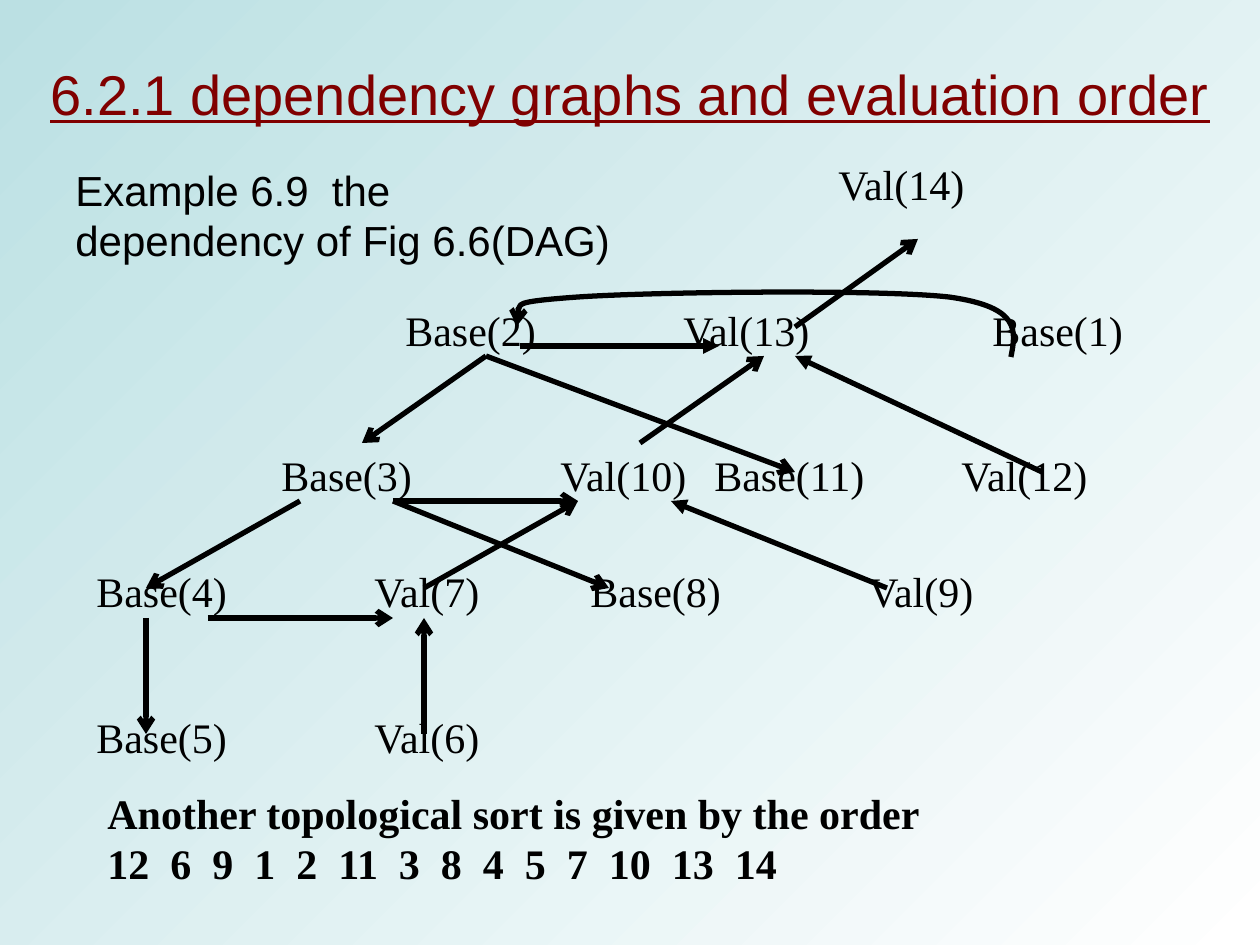
from lxml import etree
from pptx import Presentation
from pptx.dml.color import RGBColor
from pptx.enum.shapes import MSO_CONNECTOR
from pptx.enum.text import MSO_AUTO_SIZE, PP_ALIGN
from pptx.oxml.ns import qn
from pptx.util import Emu, Pt

STRAIGHT = MSO_CONNECTOR.STRAIGHT
GROW = MSO_AUTO_SIZE.SHAPE_TO_FIT_TEXT
JUSTIFY, LEFT = PP_ALIGN.JUSTIFY, PP_ALIGN.LEFT
PX_PER_INCH = 126
SERIF, SANS = "Times New Roman", "Arial"
BLACK, MAROON = "000000", "800000"


def px(length):
    return Emu(round(length * 914400 / PX_PER_INCH))


def color(hex_code):
    return RGBColor.from_string(hex_code)


def grid(column, row):
    """Pixel position of a point on the graph's grid."""
    return round(84 + 30.9 * column), round(152 + 29.1 * row)


class GraphSlide:
    def __init__(self, presentation):
        self.slide = presentation.slides.add_slide(presentation.slide_layouts[6])
        self.shapes = self.slide.shapes

    def background(self, start, end):
        fill = self.slide.background.fill
        fill.gradient()
        fill.gradient_angle = 315
        for stop, hex_code in zip(fill.gradient_stops, (start, end)):
            stop.color.rgb = color(hex_code)

    def text(self, box, lines, font=SERIF, size=24, ink=BLACK, align=JUSTIFY,
             bold=False, underline=False, grow=True):
        frame = self.shapes.add_textbox(*map(px, box)).text_frame
        frame.word_wrap = True
        if grow:
            frame.auto_size = GROW
        for i, line in enumerate(lines):
            paragraph = frame.add_paragraph() if i else frame.paragraphs[0]
            paragraph.text = line
            paragraph.alignment = align
            style = paragraph.font
            style.name, style.size = font, Pt(size)
            style.bold, style.underline = bold, underline
            style.color.rgb = color(ink)

    def node(self, label, column, row):
        self.text((*grid(column, row), 185, 87), [label], grow=False)

    def stroke(self, shape, head):
        shape.line.color.rgb = color(BLACK)
        shape.line.width = Pt(3)
        outline = shape._element.spPr.find(qn("a:ln"))
        etree.SubElement(outline, qn("a:tailEnd"), type=head)

    def arrow(self, start, end, head="arrow"):
        ends = [px(v) for v in (*grid(*start), *grid(*end))]
        edge = self.shapes.add_connector(STRAIGHT, *ends)
        self.stroke(edge, head)
        etree.SubElement(edge._element.spPr, qn("a:effectLst"))

    def curve(self, points, head="arrow"):
        """Cubic curve: a start point, then three points per segment."""
        start, *rest = [(px(x), px(y)) for x, y in points]
        builder = self.shapes.build_freeform(*start)
        builder.add_line_segments(rest, close=False)
        arc = builder.convert_to_shape()
        arc.shadow.inherit = False
        arc.fill.background()
        self.stroke(arc, head)
        # Turn every three straight segments into one cubic segment
        outline = next(arc._element.iter(qn("a:path")))
        segments = outline.findall(qn("a:lnTo"))
        for i in range(0, len(segments), 3):
            cubic = etree.SubElement(outline, qn("a:cubicBezTo"))
            for segment in segments[i:i + 3]:
                cubic.append(segment[0])
                outline.remove(segment)


# Labels with grid column and row
NODES = [
    ("Val(14)", 24, 0),
    ("Base(2)", 10, 5), ("Val(13)", 19, 5), ("Base(1)", 29, 5),
    ("Base(3)", 6, 10), ("Val(10)", 15, 10), ("Base(11)", 20, 10), ("Val(12)", 28, 10),
    ("Base(4)", 0, 14), ("Val(7)", 9, 14), ("Base(8)", 16, 14), ("Val(9)", 25, 14),
    ("Base(5)", 0, 19), ("Val(6)", 9, 19),
]

# Dependencies as grid points, from and to
ARROWS = [
    ((11, 20), (11, 16)), ((11, 15), (16, 12)), ((18, 10), (22, 7)),
    ((23, 6), (27, 3)), ((7, 12), (2, 15)), ((13, 7), (9, 10)),
    ((10, 12), (17, 15)), ((2, 16), (2, 20)), ((13, 7), (23, 11)),
    ((10, 12), (16, 12)), ((4, 16), (10, 16)),
]
TRIANGLE_ARROWS = [
    ((31, 11), (23, 7)), ((26, 15), (19, 12)), ((14.1, 6.67), (20.55, 6.67)),
]


def main():
    presentation = Presentation()
    presentation.slide_width, presentation.slide_height = px(1260), px(945)
    graph = GraphSlide(presentation)
    graph.background("BBE0E3", "FFFFFF")

    # Dependency graph
    for node in NODES:
        graph.node(*node)
    for start, end in ARROWS:
        graph.arrow(start, end)
    for start, end in TRIANGLE_ARROWS:
        graph.arrow(start, end, "triangle")

    # Base(1) to Base(2)
    graph.curve([(1011, 357), (1016, 331), (1021, 307), (949, 297), (877, 289),
                 (650, 292), (578, 297), (507, 302), (512, 315), (517, 326)])

    # Topological order, title and example
    graph.text((95, 781, 1160, 164),
               ["Another topological sort is given by the order",
                "12  6  9  1  2  11  3  8  4  5  7  10  13  14"], bold=True)
    graph.text((38, 53, 1200, 81), ["6.2.1 dependency graphs and evaluation order"],
               SANS, 32, MAROON, LEFT, underline=True)
    graph.text((63, 158, 567, 113), ["Example 6.9  the dependency of Fig 6.6(DAG)"],
               SANS, align=LEFT)
    presentation.save("out.pptx")


if __name__ == "__main__":
    main()
